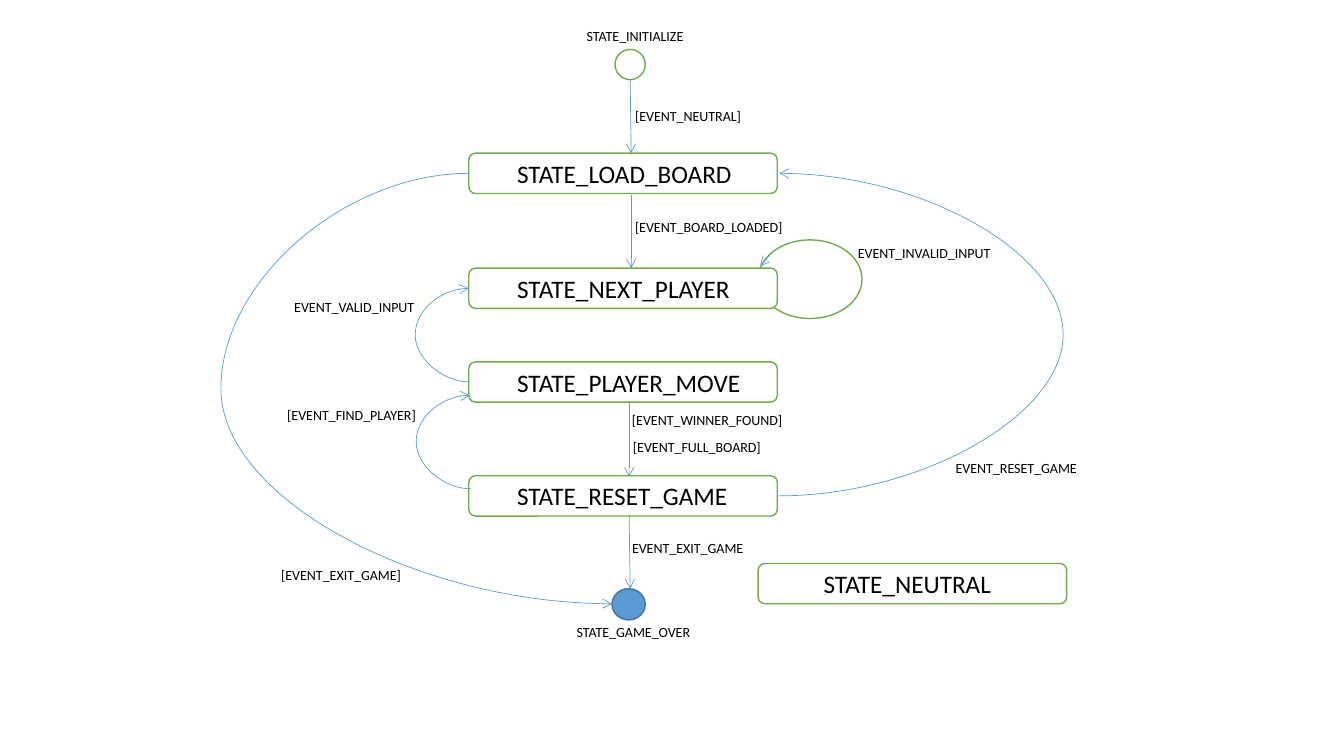
from lxml import etree
from pptx import Presentation
from pptx.dml.color import RGBColor
from pptx.enum.shapes import MSO_CONNECTOR, MSO_SHAPE
from pptx.oxml.ns import qn
from pptx.util import Inches, Pt

CIRCLE = MSO_SHAPE.FLOWCHART_CONNECTOR
STATE_BOX = MSO_SHAPE.FLOWCHART_ALTERNATE_PROCESS
STRAIGHT = MSO_CONNECTOR.STRAIGHT
CURVE = MSO_CONNECTOR.CURVE

WHITE, BLACK = "FFFFFF", "000000"
GREEN, BLUE, DARK_BLUE = "70AD47", "5B9BD5", "43739E"
STATE_W, STATE_H = 3.06, 0.4
LABEL_H = 0.27

STATES = [
    ("STATE_LOAD_BOARD", 4.65, 1.52, 0.38, 2.45),
    ("STATE_NEXT_PLAYER", 4.65, 2.66, 0.38, 2.49),
    ("STATE_PLAYER_MOVE", 4.65, 3.59, 0.38, 2.55),
    ("STATE_RESET_GAME", 4.65, 4.72, 0.38, 2.33),
    ("STATE_NEUTRAL", 7.52, 5.59, 0.55, 1.96),
]
LABELS = [
    ("STATE_INITIALIZE", 5.72, 0.22, 1.22),
    ("[EVENT_NEUTRAL]", 6.2, 1.02, 1.25),
    ("[EVENT_BOARD_LOADED]", 6.2, 2.12, 1.67),
    ("EVENT_INVALID_INPUT", 8.41, 2.38, 1.52),
    ("EVENT_VALID_INPUT", 2.82, 2.91, 1.4),
    ("[EVENT_FIND_PLAYER]", 2.75, 3.98, 1.49),
    ("[EVENT_WINNER_FOUND]", 6.17, 4.03, 1.7),
    ("[EVENT_FULL_BOARD]", 6.18, 4.3, 1.47),
    ("EVENT_RESET_GAME", 9.38, 4.51, 1.41),
    ("EVENT_EXIT_GAME", 6.17, 5.3, 1.31),
    ("[EVENT_EXIT_GAME]", 2.69, 5.57, 1.39),
    ("STATE_GAME_OVER", 5.62, 6.14, 1.42),
]
ARROWS = [
    (6.25, 0.78, 6.26, 1.52),
    (6.26, 1.93, 6.26, 2.66),
    (6.24, 3.99, 6.24, 4.73),
    (6.24, 5.11, 6.25, 5.84),
    (7.66, 2.5, 7.54, 2.64),
]
CURVES = [
    (4.66, 3.79, 4.65, 2.86, 4.11),
    (4.67, 4.85, 4.66, 3.92, 4.12),
    (7.72, 4.92, 7.73, 1.72, 10.59),
    (4.65, 1.72, 6.07, 5.99, 2.19),
]


def rgb(color):
    """Turn a hex string into a colour."""
    return RGBColor.from_string(color)


def add_node(s, kind, x, y, w, h, fill=WHITE, line=GREEN):
    """Draw a filled and outlined shape."""
    shape = s.shapes.add_shape(kind, Inches(x), Inches(y), Inches(w), Inches(h))
    shape.shadow.inherit = False
    shape.fill.solid()
    shape.fill.fore_color.rgb = rgb(fill)
    shape.line.color.rgb = rgb(line)
    shape.line.width = Pt(1)


def add_label(s, text, x, y, w, h=LABEL_H, size=10):
    """Write one line of text."""
    box = s.shapes.add_textbox(Inches(x), Inches(y), Inches(w), Inches(h))
    tf = box.text_frame
    tf.word_wrap = True
    p = tf.paragraphs[0]
    p.text = text
    p.font.name = "Calibri"
    p.font.size = Pt(size)
    p.font.color.rgb = rgb(BLACK)


def add_state(s, name, x, y, indent, text_w):
    """Draw a state box with its name."""
    add_node(s, STATE_BOX, x, y, STATE_W, STATE_H)
    add_label(s, name, x + indent, y, text_w, STATE_H, 18)


def add_arrow(s, x1, y1, x2, y2, kind=STRAIGHT):
    """Draw a thin connector with an open arrowhead at its end."""
    arrow = s.shapes.add_connector(kind, Inches(x1), Inches(y1), Inches(x2), Inches(y2))
    arrow.line.color.rgb = rgb(BLUE)
    arrow.line.width = Pt(0.5)
    sp_pr = arrow._element.spPr
    etree.SubElement(sp_pr.find(qn("a:ln")), qn("a:tailEnd"), type="arrow")
    etree.SubElement(sp_pr, qn("a:effectLst"))
    return arrow


def add_curve(s, x1, y1, x2, y2, bend_x):
    """Draw a curved arrow that swings out to bend_x."""
    curve = add_arrow(s, x1, y1, x2, y2, CURVE)
    bend = round((bend_x - x1) / (x2 - x1) * 100000)
    guides = curve._element.spPr.find(qn("a:prstGeom")).get_or_add_avLst()
    etree.SubElement(guides, qn("a:gd"), name="adj1", fmla=f"val {bend}")


def main():
    """Build the state diagram slide."""
    prs = Presentation()
    prs.slide_width, prs.slide_height = Inches(13.33), Inches(7.5)
    s = prs.slides.add_slide(prs.slide_layouts[6])
    add_node(s, CIRCLE, 7.52, 2.38, 1.03, 0.78)
    add_node(s, CIRCLE, 6.1, 0.49, 0.3, 0.3)
    for state in STATES:
        add_state(s, *state)
    for arrow in ARROWS:
        add_arrow(s, *arrow)
    for curve in CURVES:
        add_curve(s, *curve)
    add_node(s, CIRCLE, 6.07, 5.84, 0.33, 0.31, BLUE, DARK_BLUE)
    for label in LABELS:
        add_label(s, *label)
    prs.save("out.pptx")


if __name__ == "__main__":
    main()
